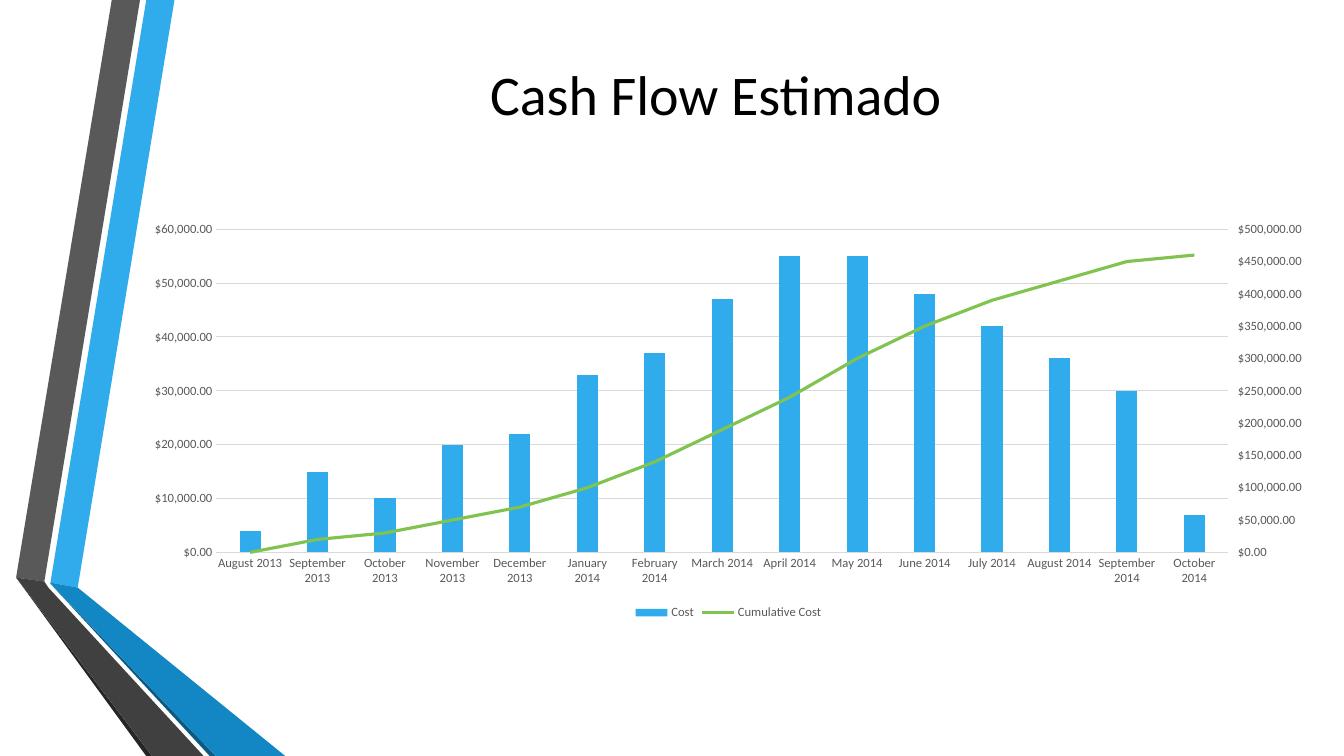
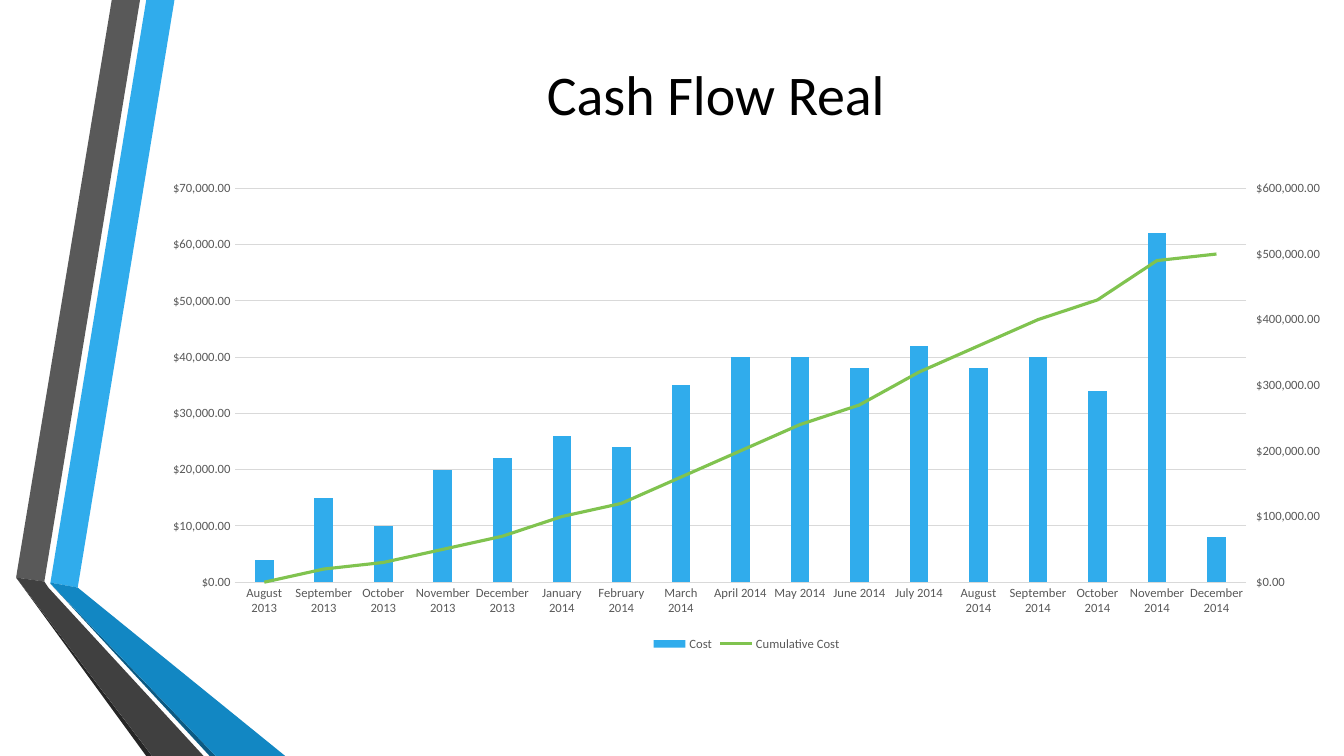
import copy
import dataclasses

import pptx
import pptx.chart.axis
import pptx.chart.data
import pptx.dml.color
import pptx.enum.chart
import pptx.enum.text
import pptx.oxml
import pptx.oxml.ns
import pptx.util

qn = pptx.oxml.ns.qn
TICK = pptx.enum.chart.XL_TICK_MARK


@dataclasses.dataclass(frozen=True)
class Theme:
    font: str = "Calibri"
    title_size: int = 40
    chart_size: int = 10
    label_size: int = 9
    grid_width: float = 0.75
    trend_width: float = 2.25
    title: str = "000000"
    label: str = "595959"
    grid: str = "D9D9D9"
    bar: str = "30ACEC"
    trend: str = "80C34F"


THEME = Theme()
WIDTH = pptx.util.Inches(13.33)
HEIGHT = pptx.util.Inches(7.5)
TITLE_BOX = (12.15, 1.33, 82.22, 22)
MONEY = "\\$#,##0.00"
MONTHS = ("January February March April May June July August "
          "September October November December").split()
START_YEAR, START_MONTH = 2013, 7

RIBBONS = (
    ("30ACEC", ((3.75, 77.07), (5.78, 77.73), (12.98, 0), (10.88, 0))),
    ("595959", ((10.42, 0), (8.32, 0), (1.2, 76.4), (3.3, 76.93))),
    ("262626", ((1.2, 76.4), (10.88, 100), (11.32, 100))),
    ("0C5A82", ((3.75, 77.2), (15.6, 100), (16.05, 100))),
    ("1287C3", ((3.75, 77.2), (16.05, 100), (21.22, 100),
                (5.78, 77.73), (3.75, 77.07))),
    ("404040", ((15.15, 100), (3.6, 77.73), (3.3, 76.93),
                (1.2, 76.4), (11.32, 100))),
)

SLIDES = (
    dict(
        title="Cash Flow Estimado",
        box=(9.75, 28.27, 88.9, 54.27),
        cost=(4000, 15000, 10000, 20000, 22000, 33000, 37000, 47000,
              55000, 55000, 48000, 42000, 36000, 30000, 7000),
        cumulative=(0, 20000, 30000, 50000, 70000, 100000, 140000, 190000,
                    240000, 300000, 350000, 390000, 420000, 450000, 460000),
        left_scale=(60000, 10000),
        right_scale=(500000, 50000),
    ),
    dict(
        title="Cash Flow Real",
        box=(11.1, 22.67, 88.9, 64),
        cost=(4000, 15000, 10000, 20000, 22000, 26000, 24000, 35000, 40000,
              40000, 38000, 42000, 38000, 40000, 34000, 62000, 8000),
        cumulative=(0, 20000, 30000, 50000, 70000, 100000, 120000, 160000,
                    200000, 240000, 270000, 320000, 360000, 400000, 430000,
                    490000, 500000),
        left_scale=(70000, 10000),
        right_scale=(600000, 100000),
    ),
)


def rgb(value):
    return pptx.dml.color.RGBColor.from_string(value)


def point(x, y):
    return round(WIDTH * x / 100), round(HEIGHT * y / 100)


def place(left, top, width, height):
    return point(left, top) + point(width, height)


def style_font(font, size, color):
    font.name = THEME.font
    font.size = pptx.util.Pt(size)
    font.color.rgb = rgb(color)


def style_line(line, color, width):
    line.color.rgb = rgb(color)
    line.width = pptx.util.Pt(width)


def add_ribbons(s):
    group = s.shapes.add_group_shape()
    for color, corners in RIBBONS:
        start, *rest = [point(*corner) for corner in corners]
        builder = group.shapes.build_freeform(*start)
        builder.add_line_segments(rest, close=True)
        sp = builder.convert_to_shape()
        sp.shadow.inherit = False
        sp.fill.solid()
        sp.fill.fore_color.rgb = rgb(color)
        sp.line.fill.background()


def add_title(s, text):
    tf = s.shapes.add_textbox(*place(*TITLE_BOX)).text_frame
    tf.word_wrap = True
    tf.vertical_anchor = pptx.enum.text.MSO_ANCHOR.MIDDLE
    p = tf.paragraphs[0]
    p.alignment = pptx.enum.text.PP_ALIGN.CENTER
    r = p.add_run()
    r.text = text
    style_font(r.font, THEME.title_size, THEME.title)


def month_labels(count):
    months = range(START_MONTH, START_MONTH + count)
    return [f"{MONTHS[m % 12]} {START_YEAR + m // 12}" for m in months]


def set_scale(axis, maximum, step):
    axis.minimum_scale = 0
    axis.maximum_scale = maximum
    axis.major_unit = step


def style_axes(chart, scale):
    for axis in (chart.category_axis, chart.value_axis):
        axis.major_tick_mark = axis.minor_tick_mark = TICK.NONE
        style_font(axis.tick_labels.font, THEME.label_size, THEME.label)
    style_line(chart.category_axis.format.line, THEME.grid, THEME.grid_width)
    axis = chart.value_axis
    axis.format.line.fill.background()
    axis.has_major_gridlines = True
    style_line(axis.major_gridlines.format.line, THEME.grid, THEME.grid_width)
    axis.tick_labels.number_format = MONEY
    axis.tick_labels.number_format_is_linked = False
    set_scale(axis, *scale)


def move_last_series_to_right_axis(chart, scale):
    bars = chart.plots[0]._element
    ser = bars.findall(qn("c:ser"))[-1]
    for flag in ser.findall(qn("c:invertIfNegative")):
        ser.remove(flag)
    lines = pptx.oxml.parse_xml(
        f'<c:lineChart {pptx.oxml.ns.nsdecls("c")}>'
        '<c:grouping val="standard"/><c:varyColors val="0"/>'
        '<c:marker val="1"/><c:axId val="1001"/><c:axId val="1002"/>'
        '</c:lineChart>')
    lines.find(qn("c:varyColors")).addnext(ser)
    bars.addnext(lines)

    left = chart.value_axis._element
    months = copy.deepcopy(chart.category_axis._element)
    right = copy.deepcopy(left)
    left.addnext(months)
    months.addnext(right)
    changes = (
        (months, dict(axId="1001", crossAx="1002", delete="1")),
        (right, dict(axId="1002", crossAx="1001", axPos="r", crosses="max")),
    )
    for element, values in changes:
        for tag, value in values.items():
            element.find(qn("c:" + tag)).set("val", value)
    axis = pptx.chart.axis.ValueAxis(right)
    axis.has_major_gridlines = False
    axis.major_tick_mark = TICK.OUTSIDE
    set_scale(axis, *scale)


def style_series(chart):
    bars, lines = chart.plots
    bars.gap_width = 219
    bars.vary_by_categories = False
    fill = bars.series[0].format.fill
    fill.solid()
    fill.fore_color.rgb = rgb(THEME.bar)
    trend = lines.series[0]
    trend.smooth = False
    trend.marker.style = pptx.enum.chart.XL_MARKER_STYLE.NONE
    style_line(trend.format.line, THEME.trend, THEME.trend_width)


def add_cash_chart(s, box, cost, cumulative, left_scale, right_scale):
    data = pptx.chart.data.CategoryChartData(number_format=MONEY)
    data.categories = month_labels(len(cost))
    data.add_series("Cost", cost)
    data.add_series("Cumulative Cost", cumulative)
    kind = pptx.enum.chart.XL_CHART_TYPE.COLUMN_CLUSTERED
    chart = s.shapes.add_chart(kind, *place(*box), data).chart
    chart.has_title = False
    style_font(chart.font, THEME.chart_size, THEME.title)
    chart.has_legend = True
    chart.legend.position = pptx.enum.chart.XL_LEGEND_POSITION.BOTTOM
    chart.legend.include_in_layout = False
    style_font(chart.legend.font, THEME.label_size, THEME.label)
    style_axes(chart, left_scale)
    move_last_series_to_right_axis(chart, right_scale)
    style_series(chart)


def main():
    prs = pptx.Presentation()
    prs.slide_width, prs.slide_height = WIDTH, HEIGHT
    for content in SLIDES:
        s = prs.slides.add_slide(prs.slide_layouts[6])
        add_ribbons(s)
        add_title(s, content["title"])
        add_cash_chart(s, content["box"], content["cost"],
                       content["cumulative"], content["left_scale"],
                       content["right_scale"])
    prs.save("out.pptx")


if __name__ == "__main__":
    main()
